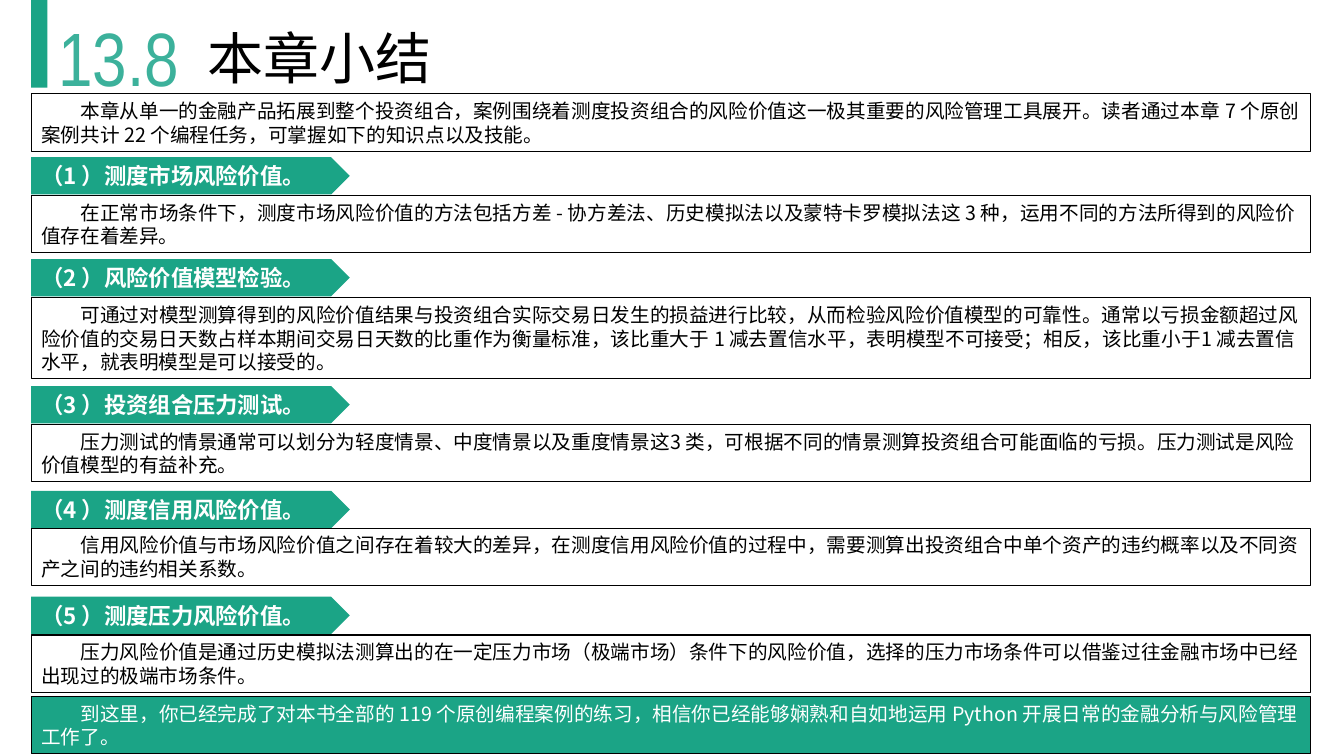
import pptx
import pptx.dml.color
import pptx.enum.shapes
import pptx.enum.text
import pptx.oxml.ns
import pptx.util
from pptx.util import Inches

COLORS = {"green": "1BA486", "number": "3CB19B", "black": "000000", "white": "FFFFFF"}
CJK_FONT = "Noto Sans CJK SC"
LEFT = 0.31
BOX_WIDTH = 12.69
LINE_HEIGHT = 1.21  # line pitch as a multiple of the text size

INTRODUCTION = "本章从单一的金融产品拓展到整个投资组合，案例围绕着测度投资组合的风险价值这一极其重要的风险管理工具展开。读者通过本章 7 个原创案例共计 22 个编程任务，可掌握如下的知识点以及技能。"
CLOSING = "到这里，你已经完成了对本书全部的 119 个原创编程案例的练习，相信你已经能够娴熟和自如地运用 Python 开展日常的金融分析与风险管理工作了。"
# Heading top, box top, box height, heading, body
SECTIONS = [
    (1.56, 1.94, 0.57, "测度市场风险价值。",
     "在正常市场条件下，测度市场风险价值的方法包括方差 - 协方差法、历史模拟法以及蒙特卡罗模拟法这 3 种，运用不同的方法所得到的风险价值存在着差异。"),
    (2.57, 2.95, 0.81, "风险价值模型检验。",
     "可通过对模型测算得到的风险价值结果与投资组合实际交易日发生的损益进行比较，从而检验风险价值模型的可靠性。通常以亏损金额超过风险价值的交易日天数占样本期间交易日天数的比重作为衡量标准，该比重大于 1 减去置信水平，表明模型不可接受；相反，该比重小于1 减去置信水平，就表明模型是可以接受的。"),
    (3.83, 4.21, 0.57, "投资组合压力测试。",
     "压力测试的情景通常可以划分为轻度情景、中度情景以及重度情景这3 类，可根据不同的情景测算投资组合可能面临的亏损。压力测试是风险价值模型的有益补充。"),
    (4.87, 5.24, 0.57, "测度信用风险价值。",
     "信用风险价值与市场风险价值之间存在着较大的差异，在测度信用风险价值的过程中，需要测算出投资组合中单个资产的违约概率以及不同资产之间的违约相关系数。"),
    (5.92, 6.3, 0.57, "测度压力风险价值。",
     "压力风险价值是通过历史模拟法测算出的在一定压力市场（极端市场）条件下的风险价值，选择的压力市场条件可以借鉴过往金融市场中已经出现过的极端市场条件。"),
]


def color(name):
    return pptx.dml.color.RGBColor.from_string(COLORS[name])


def write_text(shape, text, size, color_name="black", font=CJK_FONT, bold=False,
               indent=0, middle=True):
    frame = shape.text_frame
    frame.word_wrap = True
    anchor = pptx.enum.text.MSO_ANCHOR
    frame.vertical_anchor = anchor.MIDDLE if middle else anchor.TOP
    paragraph = frame.paragraphs[0]
    paragraph.alignment = pptx.enum.text.PP_ALIGN.LEFT
    if font == CJK_FONT:
        paragraph.line_spacing = pptx.util.Pt(round(size * LINE_HEIGHT, 1))
    if indent:
        properties = paragraph._p.get_or_add_pPr()
        properties.set("marL", "0")
        properties.set("indent", str(Inches(indent)))
    run = paragraph.add_run()
    run.text = text
    run.font.size = pptx.util.Pt(size)
    run.font.name = font
    run.font.bold = bold
    run.font.color.rgb = color(color_name)
    east_asian = run._r.get_or_add_rPr().makeelement(pptx.oxml.ns.qn("a:ea"), {"typeface": font})
    run.font._element.find(pptx.oxml.ns.qn("a:latin")).addnext(east_asian)


class SummarySlide:
    def __init__(self, slide):
        self.shapes = slide.shapes

    def block(self, kind, left, top, width, height, fill=None, line=None):
        shape = self.shapes.add_shape(
            kind, Inches(left), Inches(top), Inches(width), Inches(height))
        shape.shadow.inherit = False
        if fill:
            shape.fill.solid()
            shape.fill.fore_color.rgb = color(fill)
        else:
            shape.fill.background()
        if line:
            shape.line.color.rgb = color(line)
            shape.line.width = pptx.util.Pt(0.75)
        else:
            shape.line.fill.background()
        return shape

    def accent_bar(self):
        self.block(pptx.enum.shapes.MSO_SHAPE.RECTANGLE, LEFT, 0, 0.16, 0.87, fill="green")

    def label(self, left, top, width, height, text, **text_format):
        box = self.shapes.add_textbox(Inches(left), Inches(top), Inches(width), Inches(height))
        write_text(box, text, middle=False, **text_format)

    def heading(self, top, text):
        shape = self.block(pptx.enum.shapes.MSO_SHAPE.PENTAGON, LEFT, top, 3.16, 0.37, fill="green")
        write_text(shape, text, size=16, color_name="white", bold=True)

    def body(self, top, height, text, fill=None, color_name="black"):
        shape = self.block(pptx.enum.shapes.MSO_SHAPE.RECTANGLE, LEFT, top, BOX_WIDTH, height,
                           fill=fill, line="black")
        write_text(shape, text, size=14, color_name=color_name, indent=0.39)


def main():
    presentation = pptx.Presentation()
    presentation.slide_width = Inches(13.33)
    presentation.slide_height = Inches(7.5)
    summary = SummarySlide(presentation.slides.add_slide(presentation.slide_layouts[6]))

    summary.accent_bar()
    summary.label(0.48, 0.06, 1.56, 1.01, "13.8", size=54, color_name="number",
                  font="Arial Narrow")
    summary.label(1.96, 0.18, 8.83, 0.77, "本章小结", size=40)
    summary.body(0.93, 0.57, INTRODUCTION)
    for number, (heading_top, body_top, height, heading, body) in enumerate(SECTIONS, 1):
        summary.heading(heading_top, f"（{number} ）{heading}")
        summary.body(body_top, height, body)
    summary.body(6.91, 0.57, CLOSING, fill="green", color_name="white")
    presentation.save("out.pptx")


if __name__ == "__main__":
    main()
